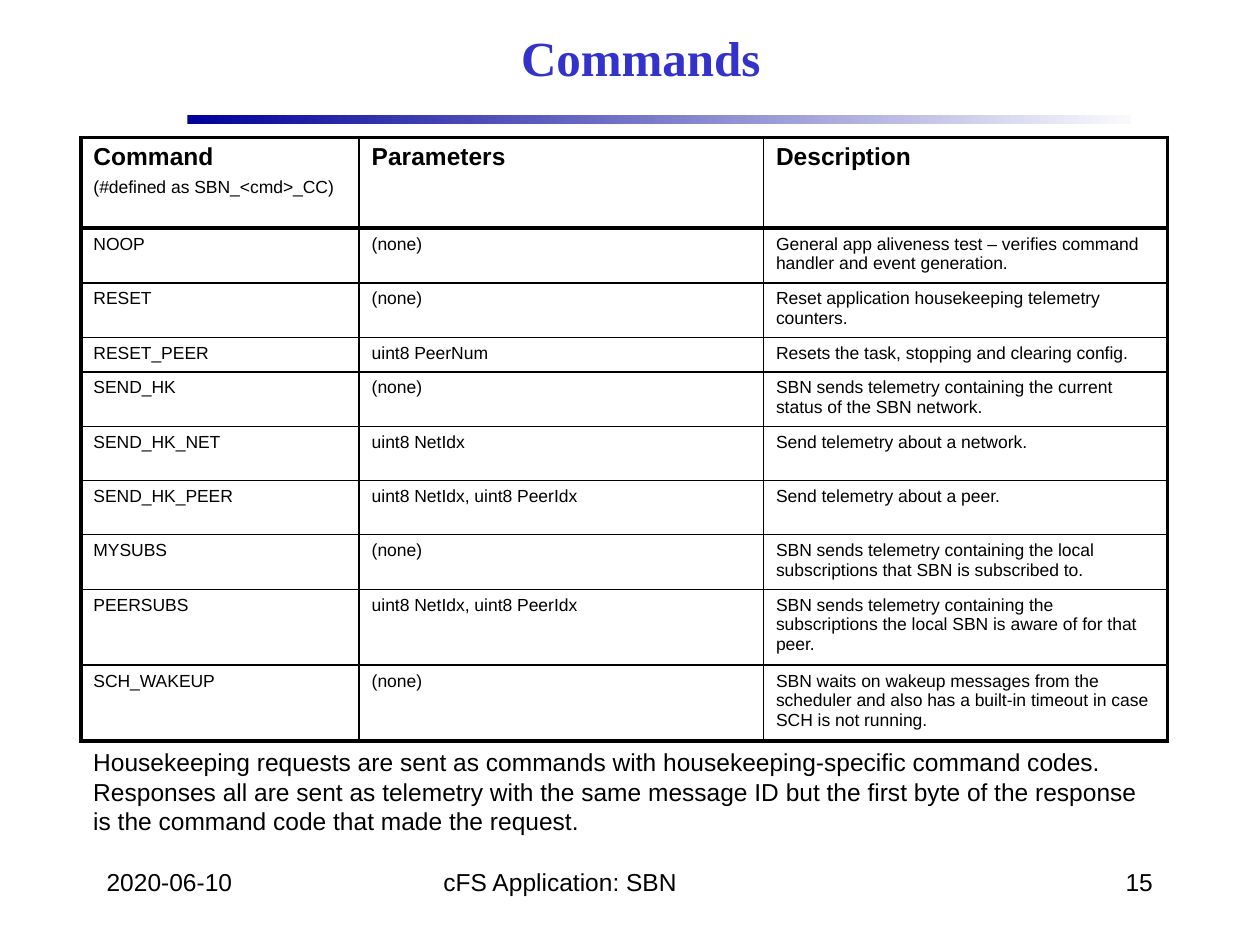
from lxml import etree
from pptx import Presentation
from pptx.dml.color import RGBColor
from pptx.enum.shapes import MSO_SHAPE
from pptx.enum.text import MSO_ANCHOR, PP_ALIGN
from pptx.oxml.ns import qn
from pptx.util import Cm, Pt

LEFT, CENTER, RIGHT = PP_ALIGN.LEFT, PP_ALIGN.CENTER, PP_ALIGN.RIGHT
TOP, MIDDLE = MSO_ANCHOR.TOP, MSO_ANCHOR.MIDDLE
RECTANGLE = MSO_SHAPE.RECTANGLE

COLORS = {"ink": "000000", "title": "3333CC", "paper": "FFFFFF",
          "rule_start": "000099", "rule_end": "F9F9FD"}
THIN, THICK = 1, 2.25

HEADERS = ["Command", "Parameters", "Description"]
HEADER_NOTE = "(#defined as SBN_<cmd>_CC)"
COMMANDS = [
    ("NOOP", "(none)", "General app aliveness test – verifies command handler and event generation."),
    ("RESET", "(none)", "Reset application housekeeping telemetry counters."),
    ("RESET_PEER", "uint8 PeerNum", "Resets the task, stopping and clearing config."),
    ("SEND_HK", "(none)", "SBN sends telemetry containing the current status of the SBN network."),
    ("SEND_HK_NET", "uint8 NetIdx", "Send telemetry about a network."),
    ("SEND_HK_PEER", "uint8 NetIdx, uint8 PeerIdx", "Send telemetry about a peer."),
    ("MYSUBS", "(none)", "SBN sends telemetry containing the local subscriptions that SBN is subscribed to."),
    ("PEERSUBS", "uint8 NetIdx, uint8 PeerIdx",
     "SBN sends telemetry containing the subscriptions the local SBN is aware of for that peer."),
    ("SCH_WAKEUP", "(none)",
     "SBN waits on wakeup messages from the scheduler and also has a built-in timeout in case SCH is not running."),
]
COLUMN_WIDTHS = [5.61, 8.15, 8.15]
ROW_HEIGHTS = [1.83, 1.09, 1.09, 0.69, 1.09, 1.09, 1.09, 1.04, 1.45, 1.45]
HOUSEKEEPING = ("Housekeeping requests are sent as commands with housekeeping-specific command codes. "
                "Responses all are sent as telemetry with the same message ID but the first byte of "
                "the response is the command code that made the request.")


def rgb(name):
    return RGBColor.from_string(COLORS[name])


def write(paragraph, text, size=14, font="Arial", color="ink", bold=False, align=LEFT, before=0):
    paragraph.alignment = align
    paragraph.space_before = Pt(before)
    run = paragraph.add_run()
    run.text = text
    run.font.size = Pt(size)
    run.font.name = font
    run.font.bold = bold
    run.font.color.rgb = rgb(color)


class Deck:
    def __init__(self, width, height):
        self.presentation = Presentation()
        self.presentation.slide_width = Cm(width)
        self.presentation.slide_height = Cm(height)
        self.slide = self.presentation.slides.add_slide(self.presentation.slide_layouts[6])

    def text(self, place, text, anchor=TOP, **style):
        frame = self.slide.shapes.add_textbox(*map(Cm, place)).text_frame
        frame.word_wrap = True
        frame.vertical_anchor = anchor
        write(frame.paragraphs[0], text, **style)

    def gradient_rule(self, place, start, end):
        rule = self.slide.shapes.add_shape(RECTANGLE, *map(Cm, place))
        rule.shadow.inherit = False
        rule.line.fill.background()
        rule.fill.gradient()
        rule.fill.gradient_angle = 0
        for stop, color in zip(rule.fill.gradient_stops, (start, end)):
            stop.color.rgb = rgb(color)

    def border(self, cell, widths):
        properties = cell._tc.get_or_add_tcPr()
        for index, (side, width) in enumerate(widths.items()):
            edge = etree.Element(qn("a:" + side), w=str(Pt(width)))
            solid = etree.SubElement(edge, qn("a:solidFill"))
            etree.SubElement(solid, qn("a:srgbClr"), val=COLORS["ink"])
            properties.insert(index, edge)

    def table(self, left, top, headers, note, rows, widths, heights):
        frame = self.slide.shapes.add_table(len(heights), len(widths), Cm(left), Cm(top),
                                            Cm(sum(widths)), Cm(sum(heights)))
        table = frame.table
        table.horz_banding = False
        for column, width in zip(table.columns, widths):
            column.width = Cm(width)
        for row, height in zip(table.rows, heights):
            row.height = Cm(height)
        last_row, last_column = len(heights) - 1, len(widths) - 1
        for r, values in enumerate([headers, *rows]):
            for c, value in enumerate(values):
                cell = table.cell(r, c)
                cell.fill.solid()
                cell.fill.fore_color.rgb = rgb("paper")
                write(cell.text_frame.paragraphs[0], value, size=10 if r else 14, bold=r == 0)
                self.border(cell, {
                    "lnL": THICK if c == 0 else THIN,
                    "lnR": THICK if c == last_column else THIN,
                    "lnT": THICK if r <= 1 else THIN,
                    "lnB": THICK if r in (0, last_row) else THIN,
                })
        write(table.cell(0, 0).text_frame.add_paragraph(), note, size=10, before=3.5)


deck = Deck(25.4, 19.05)
deck.gradient_rule((3.78, 2.32, 19.02, 0.18), "rule_start", "rule_end")
deck.text((3.81, 0.2, 18.21, 1.9), "Commands", anchor=MIDDLE, size=28,
          font="Times New Roman", color="title", bold=True, align=CENTER)
deck.table(1.63, 2.77, HEADERS, HEADER_NOTE, COMMANDS, COLUMN_WIDTHS, ROW_HEIGHTS)
deck.text((1.63, 14.94, 21.89, 2.06), HOUSEKEEPING)
for left, width, label, align in [(1.9, 5.28, "2020-06-10", LEFT),
                                  (8.69, 8.05, "cFS Application: SBN", LEFT),
                                  (18.21, 5.28, "15", RIGHT)]:
    deck.text((left, 17.35, width, 1.27), label, align=align)
deck.presentation.save("out.pptx")
